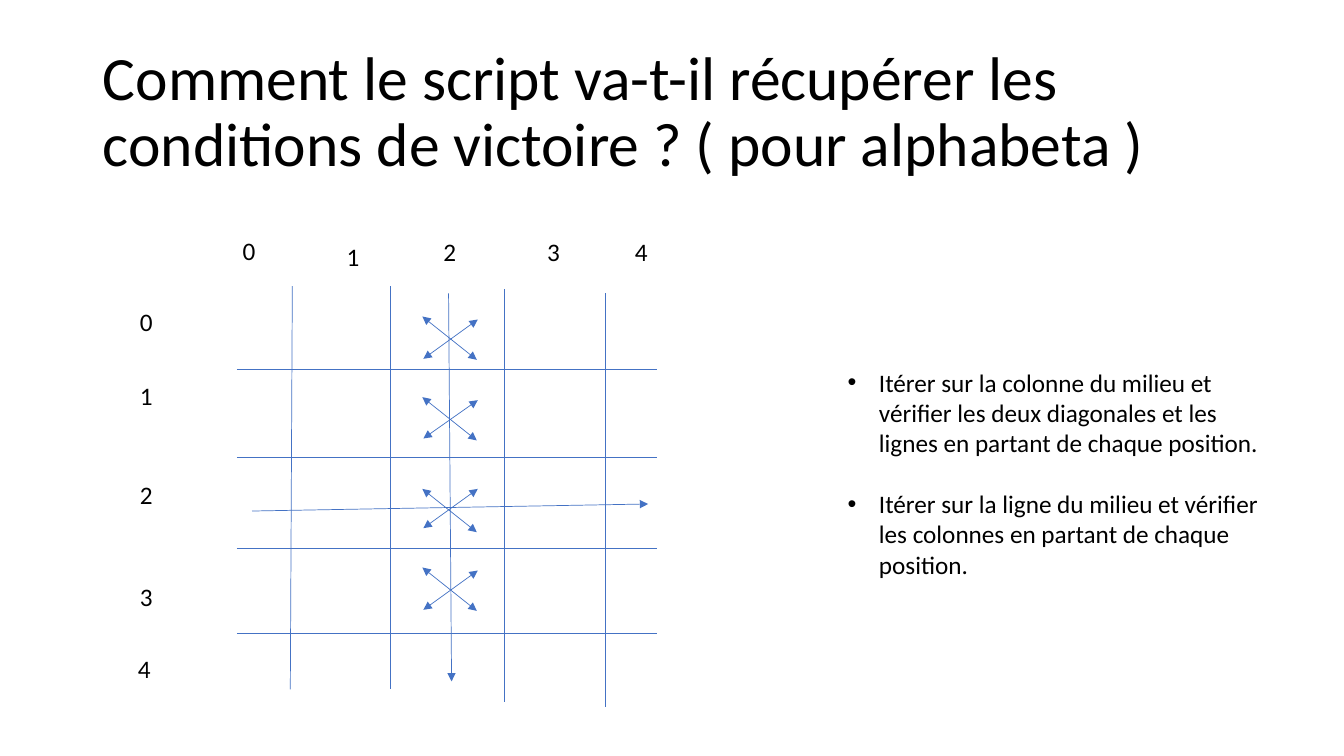
from lxml import etree
from pptx import Presentation, util as u
from pptx.dml.color import RGBColor
from pptx.enum import shapes, text
from pptx.oxml.ns import qn

COLUMNS, ROWS = 133.33, 75  # grid cells across and down the slide
CELL = u.Inches(0.1)
BLACK, BLUE = "000000", "4472C4"


def colour(hex_string):
    return RGBColor.from_string(hex_string)


def cells(*lengths):
    """Turn grid columns or rows into slide lengths."""
    return [u.Emu(round(length * CELL)) for length in lengths]


def set_all(target, values):
    for name, value in values.items():
        setattr(target, name, value)


class Board:
    """Holds the style and the current slide."""

    font = {"name": "Calibri", "bold": False}
    frame = {"word_wrap": True, "auto_size": text.MSO_AUTO_SIZE.NONE,
             "vertical_anchor": text.MSO_ANCHOR.TOP}
    paragraph = {"alignment": text.PP_ALIGN.LEFT, "line_spacing": 1.0,
                 "space_before": u.Pt(0), "space_after": u.Pt(0)}

    def __init__(self, presentation):
        # Layout 1 offers a title and a body placeholder
        self.slide = presentation.slides.add_slide(presentation.slide_layouts[1])

    def fill_text(self, shape, lines, size, frame=None, paragraph=None):
        text_frame = shape.text_frame
        text_frame.text = "\n".join(lines)
        set_all(text_frame, self.frame | (frame or {}))
        for item in text_frame.paragraphs:
            set_all(item, self.paragraph | (paragraph or {}))
            for run in item.runs:
                set_all(run.font, self.font | {"size": u.Pt(size)})
                run.font.color.rgb = colour(BLACK)

    def place(self, shape, *box):
        set_all(shape, dict(zip(("left", "top", "width", "height"), cells(*box))))

    def title(self, words, *box):
        shape = self.slide.shapes.title
        self.place(shape, *box)
        self.fill_text(shape, [words], 44, {"vertical_anchor": text.MSO_ANCHOR.MIDDLE},
                       {"line_spacing": 0.9})

    def bullets(self, lines, gap, *box):
        shape = self.slide.placeholders[1]
        self.place(shape, *box)
        self.fill_text(shape, lines, 18)
        indent = u.Inches(0.31)
        for index, item in enumerate(shape.text_frame.paragraphs):
            item.space_before = u.Pt(gap if index else 0)
            properties = item._p.get_or_add_pPr()
            properties.set("marL", str(indent))
            properties.set("indent", str(-indent))
            etree.SubElement(properties, qn("a:buFont"), typeface="Arial")
            etree.SubElement(properties, qn("a:buChar"), char="•")

    def label(self, words, left, top):
        shape = self.slide.shapes.add_textbox(*cells(left, top, 3.3, 4))
        self.fill_text(shape, [words], 18)

    def line(self, start, end, arrows=()):
        """Draw a line; arrows lists headEnd (start) and tailEnd (end)."""
        connector = self.slide.shapes.add_connector(
            shapes.MSO_CONNECTOR.STRAIGHT, *cells(*start, *end))
        connector.line.color.rgb = colour(BLUE)
        connector.line.width = u.Pt(0.5)
        outline = connector.line._get_or_add_ln()
        for arrow in arrows:
            etree.SubElement(outline, qn(f"a:{arrow}"), type="triangle")
        etree.SubElement(connector._element.spPr, qn("a:effectLst"))


def main():
    presentation = Presentation()
    set_all(presentation, dict(zip(("slide_width", "slide_height"), cells(COLUMNS, ROWS))))
    board = Board(presentation)
    board.title("Comment le script va-t-il récupérer les conditions de victoire ? "
                "( pour alphabeta )", 9.2, 4, 115, 14.5)

    column_lines = [(29, 28.8, 28.4, 68.4), (38.7, 38.7, 28.4, 68.4),
                    (50, 50, 28.7, 69.6), (60.1, 60.1, 29.1, 70.1)]
    for start_x, end_x, top, bottom in column_lines:
        board.line((start_x, top), (end_x, bottom))
    for row in (36.6, 45.4, 54.4, 62.8):
        board.line((23.5, row), (65.2, row))

    row_labels = [(12.9, 29.9), (12.9, 37.2), (12.9, 47.1), (12.9, 57.2), (12.7, 64.3)]
    column_labels = [(23.1, 22.9), (33.4, 23.4), (43, 23), (53.3, 23), (62, 23)]
    for positions in (row_labels, column_labels):
        for number, (left, top) in enumerate(positions):
            board.label(str(number), left, top)

    board.line((44.5, 29.1), (44.8, 67.6), ["tailEnd"])
    board.line((25, 50.7), (64.3, 50), ["tailEnd"])
    both_ends = ["headEnd", "tailEnd"]
    # Top of the falling diagonal, then bottom and top of the rising one
    for top, rise_from, rise_to in [(31.4, 35.6, 31.7), (39.4, 43.5, 39.7),
                                    (48.5, 52.4, 48.5), (56.3, 60.5, 56.6)]:
        board.line((41.9, top), (47.3, top + 4.3), both_ends)
        board.line((42, rise_from), (47.4, rise_to), both_ends)

    board.bullets(["Itérer sur la colonne du milieu et vérifier les deux diagonales "
                   "et les lignes en partant de chaque position.",
                   "Itérer sur la ligne du milieu et vérifier les colonnes en partant "
                   "de chaque position."], 22, 83.1, 35.9, 45, 22.2)
    presentation.save("out.pptx")


if __name__ == "__main__":
    main()
